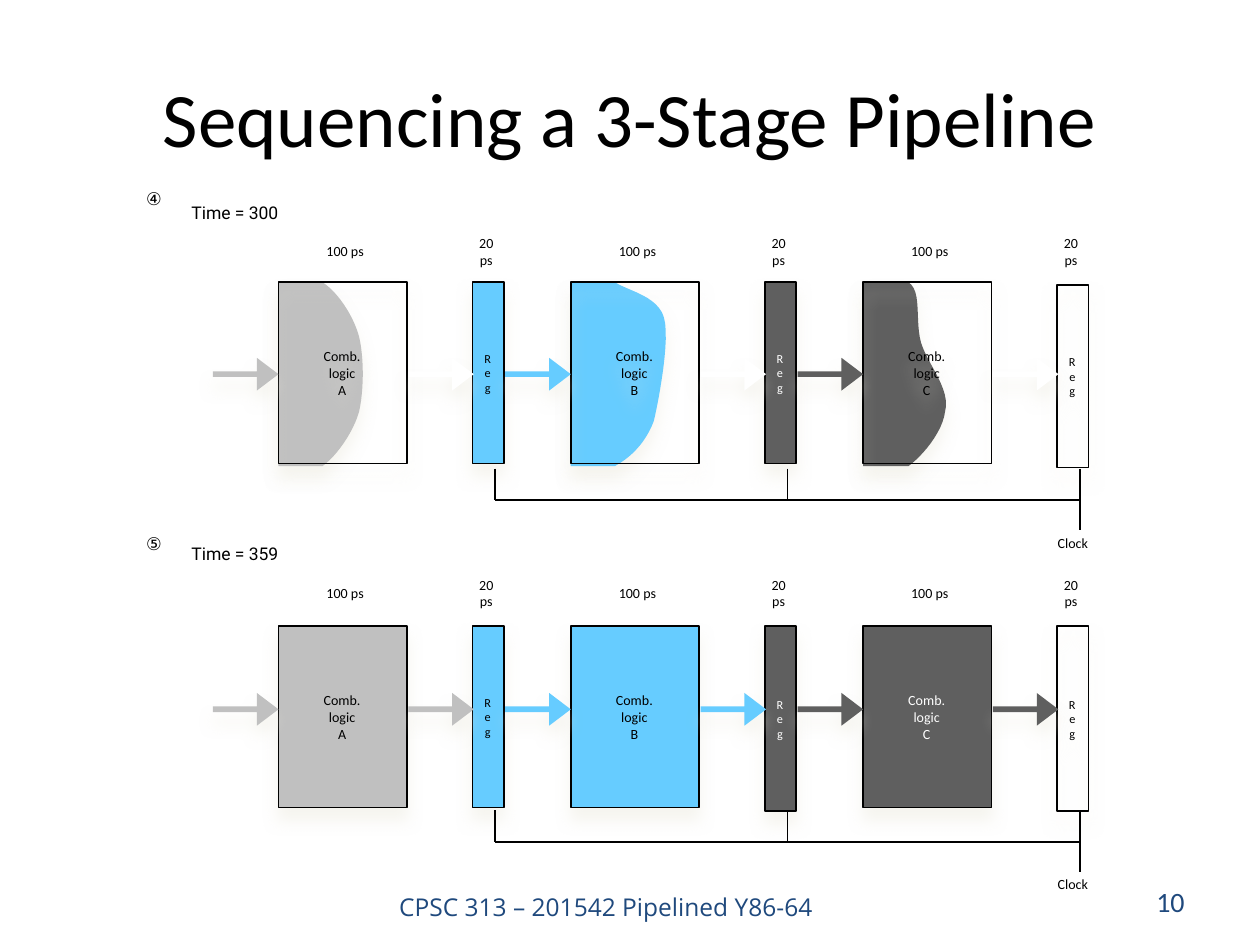
from lxml.etree import SubElement
from pptx import Presentation
from pptx.dml.color import RGBColor
from pptx.enum.shapes import MSO_CONNECTOR as CONN, MSO_SHAPE as SHAPE
from pptx.enum.text import MSO_ANCHOR as ANCHOR, PP_ALIGN as ALIGN
from pptx.oxml.ns import qn
from pptx.util import Inches, Pt

COLORS = {
    "black": "000000", "white": "FFFFFF", "navy": "1F497D", "shadow": "EEECE1",
    "gray": "C0C0C0", "blue": "66CCFF", "dark": "5F5F5F",
}
PITCH = 2.32
LOGIC_X, LOGIC_W, LOGIC_H = 2.21, 1.02, 1.44
REG_X, REG_W = 3.75, 0.25
CLOCK_X = 3.93
STAGES = [("A", "gray"), ("B", "blue"), ("C", "dark")]
REG_FILLS = ["blue", "dark", None]
WAVES = [
    [(0.35, 1.46), (0.46, 1.38), (0.59, 1.2), (0.64, 1.03),
     (0.68, 0.85), (0.68, 0.6), (0.64, 0.43), (0.59, 0.25), (0.46, 0.07), (0.35, 0)],
    [(0.35, 1.46), (0.46, 1.4), (0.59, 1.29), (0.66, 1.1),
     (0.7, 0.93), (0.79, 0.45), (0.74, 0.28), (0.69, 0.11), (0.46, 0.07), (0.35, 0)],
    [(0.36, 1.46), (0.47, 1.38), (0.63, 1.19), (0.65, 1.03),
     (0.7, 0.85), (0.51, 0.65), (0.46, 0.48), (0.41, 0.31), (0.47, 0.07), (0.36, 0)],
]
ROWS = [
    {"mark": "④", "time": "Time = 300", "mark_y": 1.31, "label_y": 1.6, "block_y": 2.24,
     "arrow_y": 2.84, "clock_y": 3.72, "regs": [(0, 1.44), (0, 1.44), (0.02, 1.45)],
     "done": False},
    {"mark": "⑤", "time": "Time = 359", "mark_y": 4.05, "label_y": 4.31, "block_y": 4.97,
     "arrow_y": 5.5, "clock_y": 6.43, "regs": [(0, 1.44), (0, 1.47), (0, 1.47)],
     "done": True},
]


def rgb(name):
    """Return the named colour."""
    return RGBColor.from_string(COLORS[name])


def write(tf, lines, size, color="black", font="Calibri", align=ALIGN.CENTER, indent=0.03):
    """Fill a text frame with one paragraph per line."""
    for i, line in enumerate(lines):
        p = tf.paragraphs[0] if i == 0 else tf.add_paragraph()
        p.alignment = align
        if indent:
            pPr = p._p.get_or_add_pPr()
            pPr.set("marL", str(Inches(indent)))
            pPr.set("indent", "0")
        r = p.add_run()
        r.text = line
        r.font.size, r.font.name = Pt(size), font
        r.font.color.rgb = rgb(color)


def set_insets(tf, left=0, top=0, right=0, bottom=0):
    """Set the four insets of a text frame."""
    tf.margin_left, tf.margin_top = Inches(left), Inches(top)
    tf.margin_right, tf.margin_bottom = Inches(right), Inches(bottom)


def add_text(s, text, box, size, wrap=False, right=0, **style):
    """Add a text box with one line, centred vertically."""
    tf = s.shapes.add_textbox(*map(Inches, box)).text_frame
    tf.word_wrap, tf.vertical_anchor = wrap, ANCHOR.MIDDLE
    set_insets(tf, right=right)
    write(tf, [text], size, **style)


def paint(sp, fill, outlined=False):
    """Give a shape its fill, outline and soft shadow."""
    if fill:
        sp.fill.solid()
        sp.fill.fore_color.rgb = rgb(fill)
    else:
        sp.fill.background()
    if outlined:
        sp.line.color.rgb, sp.line.width = rgb("black"), Pt(1)
    else:
        sp.line.fill.background()
    sp.shadow.inherit = False
    effects = sp._element.spPr.find(qn("a:effectLst"))
    shadow = SubElement(effects, qn("a:outerShdw"), blurRad=str(Pt(9)), dist=str(Pt(7)),
                        dir="5400000", rotWithShape="0")
    color = SubElement(shadow, qn("a:srgbClr"), val=COLORS["shadow"])
    SubElement(color, qn("a:alpha"), val="50000")


def add_block(s, box, fill, lines, size, color):
    """Add an outlined rectangle with stacked text."""
    sp = s.shapes.add_shape(SHAPE.RECTANGLE, *map(Inches, box))
    paint(sp, fill, outlined=True)
    tf = sp.text_frame
    tf.word_wrap, tf.vertical_anchor = False, ANCHOR.MIDDLE
    set_insets(tf, right=0.04)
    write(tf, lines, size, color)


def add_arrow(s, x, y, fill):
    """Add a thin block arrow pointing right."""
    sp = s.shapes.add_shape(SHAPE.RIGHT_ARROW, Inches(x), Inches(y), Inches(0.52), Inches(0.26))
    sp.adjustments[0], sp.adjustments[1] = 0.17, 0.66
    paint(sp, fill)


def add_line(s, x1, y1, x2, y2):
    """Add a thin black line."""
    c = s.shapes.add_connector(CONN.STRAIGHT, *map(Inches, (x1, y1, x2, y2)))
    c.line.color.rgb, c.line.width = rgb("black"), Pt(1)
    SubElement(c._element.spPr, qn("a:effectLst"))


def curve_points(knots, steps=12):
    """Sample a chain of cubic Bezier curves."""
    points = [knots[0]]
    for i in range(0, len(knots) - 1, 3):
        for k in range(1, steps + 1):
            t = k / steps
            weights = ((1 - t) ** 3, 3 * t * (1 - t) ** 2, 3 * t * t * (1 - t), t ** 3)
            points.append(tuple(sum(w * q[axis] for w, q in zip(weights, knots[i:i + 4]))
                                for axis in (0, 1)))
    return points


def add_wave(s, x, y, knots, fill):
    """Add the part of a logic block that the signal has reached."""
    fb = s.shapes.build_freeform(Inches(x), Inches(y))
    points = [(0, knots[0][1])] + curve_points(knots)
    fb.add_line_segments([(Inches(x + dx), Inches(y + dy)) for dx, dy in points])
    paint(fb.convert_to_shape(), fill)


def add_stage(s, row, i):
    """Add one logic block with its register, arrows, delays and clock tap."""
    name, fill = STAGES[i]
    dx, done = i * PITCH, row["done"]
    x, y = LOGIC_X + dx, row["block_y"]
    if not done:
        add_wave(s, x, y, WAVES[i], fill)
    logic_color = "white" if done and fill == "dark" else "black"
    add_block(s, (x, y, LOGIC_W, LOGIC_H), fill if done else None,
              ["Comb.", "logic", name], 8, logic_color)
    drop, height = row["regs"][i]
    reg_color = "white" if REG_FILLS[i] == "dark" else "black"
    add_block(s, (REG_X + dx, y + drop, REG_W, height), REG_FILLS[i], "Reg", 7, reg_color)
    add_arrow(s, x - 0.52, row["arrow_y"], fill)
    add_arrow(s, x + 1.03, row["arrow_y"], fill if done else "white")
    delay_y = row["label_y"] + 0.33
    add_text(s, "100 ps", (2.56 + dx, delay_y, 0.37, 0.13), 8, right=0.04)
    add_text(s, "20 ps", (3.71 + dx, delay_y, 0.31, 0.13), 8, right=0.04)
    tap = 0.49 if i == len(STAGES) - 1 else 0.25
    add_line(s, CLOCK_X + dx, row["clock_y"], CLOCK_X + dx, row["clock_y"] + tap)


def add_row(s, row):
    """Add the pipeline at one moment."""
    label = {"align": ALIGN.LEFT, "indent": 0}
    add_text(s, row["mark"], (1.16, row["mark_y"], 0.53, 0.53), 10, wrap=True,
             font="Arial", **label)
    add_text(s, row["time"], (1.52, row["label_y"], 0.7, 0.17), 10, font="Roboto", **label)
    for i in range(len(STAGES)):
        add_stage(s, row, i)
    bus_y = row["clock_y"] + 0.25
    add_line(s, CLOCK_X, bus_y, CLOCK_X + 2 * PITCH, bus_y)
    add_text(s, "Clock", (8.36, row["clock_y"] + 0.52, 0.32, 0.13), 8, right=0.04)


def add_title(s, text):
    """Place and format the title."""
    sp = s.shapes.title
    sp.left, sp.top, sp.width, sp.height = map(Inches, (0.5, 0.3, 9, 1.25))
    sp.text_frame.vertical_anchor = ANCHOR.MIDDLE
    write(sp.text_frame, [text], 44, indent=0)


def main():
    """Build the slide and save it."""
    prs = Presentation()
    prs.slide_width, prs.slide_height = Inches(10), Inches(7.5)
    s = prs.slides.add_slide(prs.slide_layouts[5])
    add_title(s, "Sequencing a 3-Stage Pipeline")
    for row in ROWS:
        add_row(s, row)
    add_text(s, "CPSC 313 – 201542 Pipelined Y86-64", (2.87, 7.05, 3.88, 0.3), 14,
             color="navy", font="Open Sans", indent=0)
    add_text(s, "10", (7.17, 6.95, 2.33, 0.4), 16, wrap=True, right=0.1,
             color="navy", align=ALIGN.RIGHT, indent=0)
    prs.save("out.pptx")


if __name__ == "__main__":
    main()
